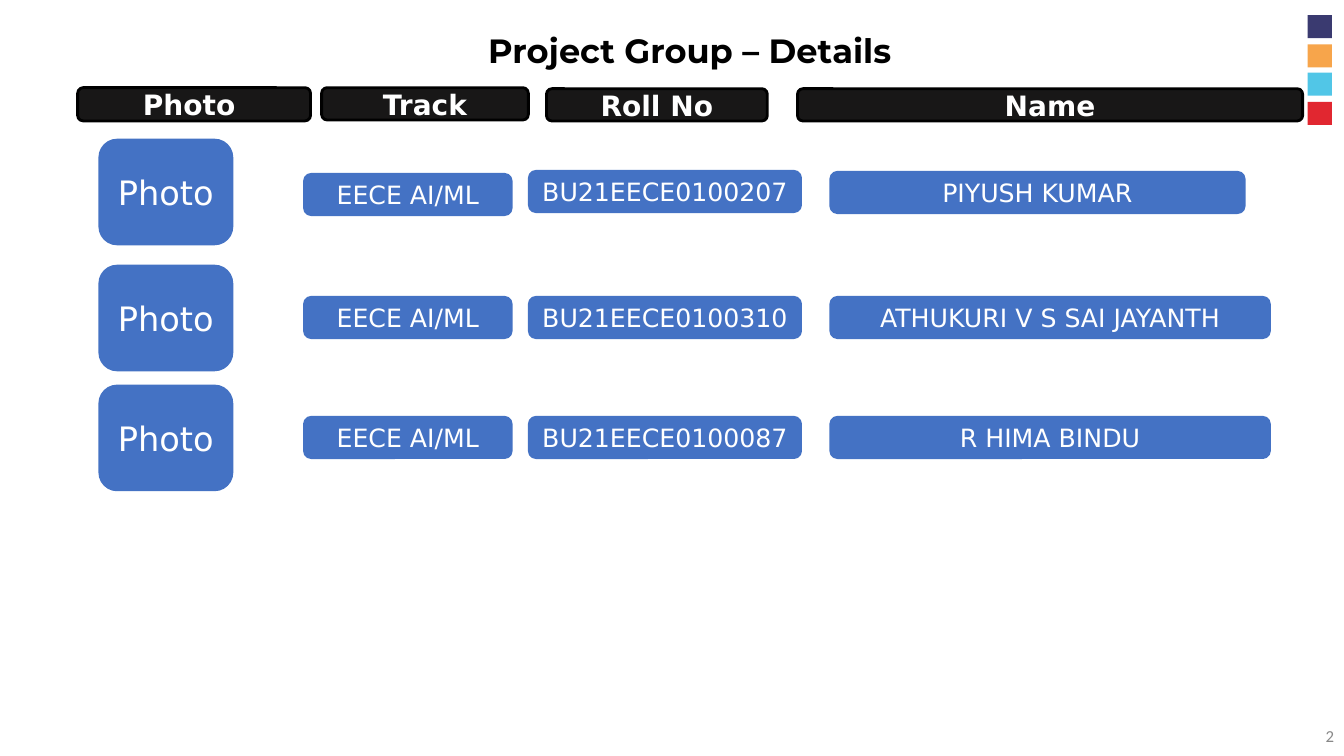
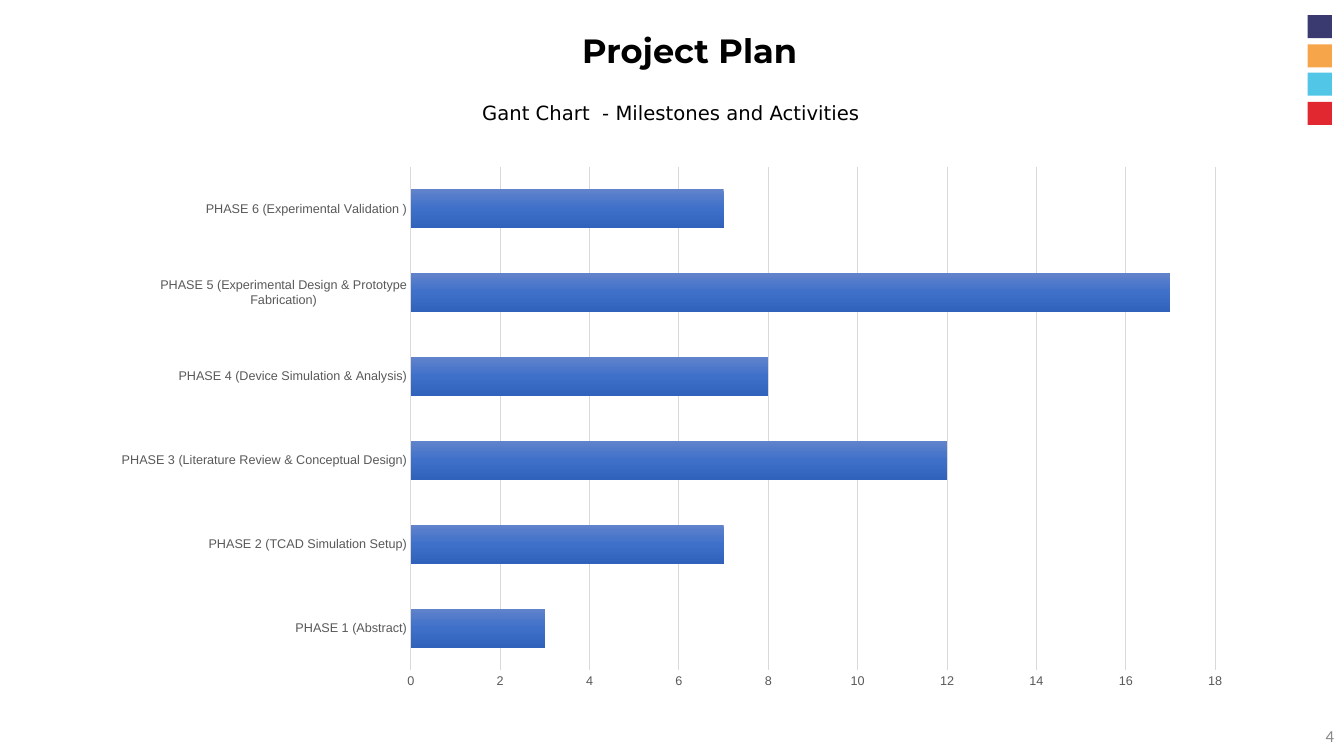
from lxml import etree
from pptx import Presentation
from pptx.chart.data import CategoryChartData
from pptx.dml.color import RGBColor
from pptx.enum.chart import XL_CHART_TYPE, XL_TICK_MARK
from pptx.enum.shapes import MSO_SHAPE
from pptx.enum.text import MSO_ANCHOR, MSO_AUTO_SIZE, PP_ALIGN
from pptx.oxml import parse_xml
from pptx.oxml.ns import nsdecls, qn
from pptx.util import Pt

BAR_CLUSTERED = XL_CHART_TYPE.BAR_CLUSTERED
NO_TICK = XL_TICK_MARK.NONE
RECT, ROUND_RECT = MSO_SHAPE.RECTANGLE, MSO_SHAPE.ROUNDED_RECTANGLE
TOP, MIDDLE = MSO_ANCHOR.TOP, MSO_ANCHOR.MIDDLE
CENTER, RIGHT = PP_ALIGN.CENTER, PP_ALIGN.RIGHT
NO_FIT = MSO_AUTO_SIZE.NONE

PX = 9144  # EMU per px, 100 px to the inch
TITLE_ONLY, TITLE_AND_BODY = 5, 1
HEAD_FONT, TEXT_FONT = "Montserrat", "DejaVu Sans"
PAGE_FONT, CHART_FONT = "Calibri", "Arial"
COLORS = {
    "black": "000000", "white": "FFFFFF", "header": "181717", "blue": "4472C4",
    "page": "888888", "axis_text": "595959", "grid": "D9D9D9",
    "navy": "3A3A70", "orange": "F7A54B", "cyan": "51C6E7", "red": "E12730",
}

# Content
ACCENTS = ["navy", "orange", "cyan", "red"]
# label, left, top, width, height
HEADERS = [
    ("Photo ", 77, 87, 231, 33),
    ("Track", 319, 87, 205, 32),
    ("Roll No", 542, 88, 219, 32),
    ("Name", 791, 88, 501, 32),
]
TRACK = "EECE AI/ML"
# photo top, pill offsets below it, roll number, name, name width
MEMBERS = [
    (139, (34, 31, 32), "BU21EECE0100207", "PIYUSH KUMAR", 410),
    (264, (31, 31, 31), "BU21EECE0100310", "ATHUKURI V S SAI JAYANTH", 435),
    (383, (31, 31, 31), "BU21EECE0100087", "R HIMA BINDU", 435),
]
PHOTO_LEFT, PHOTO_WIDTH, PHOTO_HEIGHT = 99, 131, 103
PILL_LEFTS, PILL_HEIGHT = (302, 525, 824), 40
TRACK_WIDTH, ROLL_WIDTH = 205, 269
SUBTITLE = "Gant Chart  - Milestones and Activities "
PHASES = [
    ("PHASE 1 (Abstract)", 3),
    ("PHASE 2 (TCAD Simulation Setup)", 7),
    ("PHASE 3 (Literature Review & Conceptual Design)", 12),
    ("PHASE 4 (Device Simulation & Analysis)", 8),
    ("PHASE 5 (Experimental Design & Prototype Fabrication)", 17),
    ("PHASE 6 (Experimental Validation )", 7),
]
BAR_STOPS = [(0, "6183CB"), (50, "3E70CA"), (100, "3062BB")]


def color(name):
    return RGBColor.from_string(COLORS[name])


def emu(*lengths):
    return [length * PX for length in lengths]


def place(shape, *frame):
    shape.left, shape.top, shape.width, shape.height = emu(*frame)


def write(shape, text, size, font, tone, bold=False, align=CENTER, anchor=MIDDLE):
    frame = shape.text_frame
    frame.word_wrap = True
    frame.auto_size = NO_FIT
    frame.vertical_anchor = anchor
    para = frame.paragraphs[0]
    para.alignment = align
    para.space_before = Pt(0)
    span = para.add_run()
    span.text = text
    span.font.size, span.font.name, span.font.bold = Pt(size), font, bold
    span.font.color.rgb = color(tone)
    return para


def add_box(page, kind, frame, fill, line=None):
    box = page.shapes.add_shape(kind, *emu(*frame))
    box.shadow.inherit = False
    box.fill.solid()
    box.fill.fore_color.rgb = color(fill)
    if line:
        box.line.color.rgb = color(line)
        box.line.width = Pt(2)
    else:
        box.line.fill.background()
    return box


def add_page(deck, layout, title, number):
    """Add a slide with the shared title, colour squares and page number."""
    page = deck.slides.add_slide(deck.slide_layouts[layout])
    place(page.shapes.title, 109, 25, 1150, 54)
    write(page.shapes.title, title, 24, HEAD_FONT, "black", bold=True, anchor=TOP)
    for index, accent in enumerate(ACCENTS):
        add_box(page, RECT, (1297, 15 + round(index * 86 / 3), 24, 23), accent)
    number_box = page.shapes.add_textbox(*emu(1033, 710, 300, 40))
    write(number_box, number, 12, PAGE_FONT, "page", align=RIGHT)
    return page


def build_group_page(deck):
    page = add_page(deck, TITLE_ONLY, "Project Group – Details", "2")
    # Column headers
    for label, *frame in HEADERS:
        box = add_box(page, ROUND_RECT, frame, "header", "black")
        write(box, label, 20, TEXT_FONT, "white", bold=True)
    # One photo box and three pills per member
    for top, offsets, roll, name, name_width in MEMBERS:
        photo = add_box(page, ROUND_RECT, (PHOTO_LEFT, top, PHOTO_WIDTH, PHOTO_HEIGHT),
                        "blue", "blue")
        write(photo, "Photo", 24, TEXT_FONT, "white")
        widths = (TRACK_WIDTH, ROLL_WIDTH, name_width)
        for text, left, offset, width in zip((TRACK, roll, name), PILL_LEFTS, offsets, widths):
            pill = add_box(page, ROUND_RECT, (left, top + offset, width, PILL_HEIGHT),
                           "blue", "blue")
            write(pill, text, 18, TEXT_FONT, "white")


def set_font(font, size, tone):
    font.size, font.name = Pt(size), CHART_FONT
    font.color.rgb = color(tone)


def fill_gradient(series):
    """Give the bars a three-stop vertical gradient."""
    series.format.fill.background()
    properties = series.format.fill._xPr
    properties.remove(properties.find(qn("a:noFill")))
    gradient = parse_xml(f'<a:gradFill {nsdecls("a")} rotWithShape="1"><a:gsLst/>'
                         '<a:lin ang="5400000" scaled="0"/></a:gradFill>')
    for position, tone in BAR_STOPS:
        stop = etree.SubElement(gradient[0], qn("a:gs"), pos=str(position * 1000))
        etree.SubElement(stop, qn("a:srgbClr"), val=tone)
    properties.insert(0, gradient)


def build_plan_page(deck):
    page = add_page(deck, TITLE_AND_BODY, "Project Plan", "4")
    # Subtitle, without the template's bullet
    body = page.placeholders[1]
    place(body, 49, 95, 1239, 627)
    para = write(body, SUBTITLE, 14, TEXT_FONT, "black", anchor=TOP)
    properties = para._p.get_or_add_pPr()
    properties.set("marL", "0")
    properties.set("indent", "0")
    etree.SubElement(properties, qn("a:buNone"))

    # Phase chart
    data = CategoryChartData()
    data.categories = [phase for phase, _ in PHASES]
    data.add_series("Series 1", [value for _, value in PHASES])
    chart = page.shapes.add_chart(BAR_CLUSTERED, *emu(98, 155, 1137, 539), data).chart
    chart.has_legend = chart.has_title = False
    set_font(chart.font, 10, "black")
    plot = chart.plots[0]
    plot.gap_width, plot.overlap, plot.vary_by_categories = 115, -20, False
    fill_gradient(plot.series[0])

    # Axes
    for axis in (chart.category_axis, chart.value_axis):
        axis.major_tick_mark = axis.minor_tick_mark = NO_TICK
        set_font(axis.tick_labels.font, 9, "axis_text")
    category_line = chart.category_axis.format.line
    category_line.color.rgb, category_line.width = color("grid"), Pt(1)
    value_axis = chart.value_axis
    value_axis.minimum_scale, value_axis.maximum_scale, value_axis.major_unit = 0, 18, 2
    value_axis.format.line.fill.background()
    grid_line = value_axis.major_gridlines.format.line
    grid_line.color.rgb, grid_line.width = color("grid"), Pt(0.75)


def main():
    deck = Presentation()
    deck.slide_width, deck.slide_height = emu(1333, 750)
    build_group_page(deck)
    build_plan_page(deck)
    deck.save("out.pptx")


if __name__ == "__main__":
    main()
